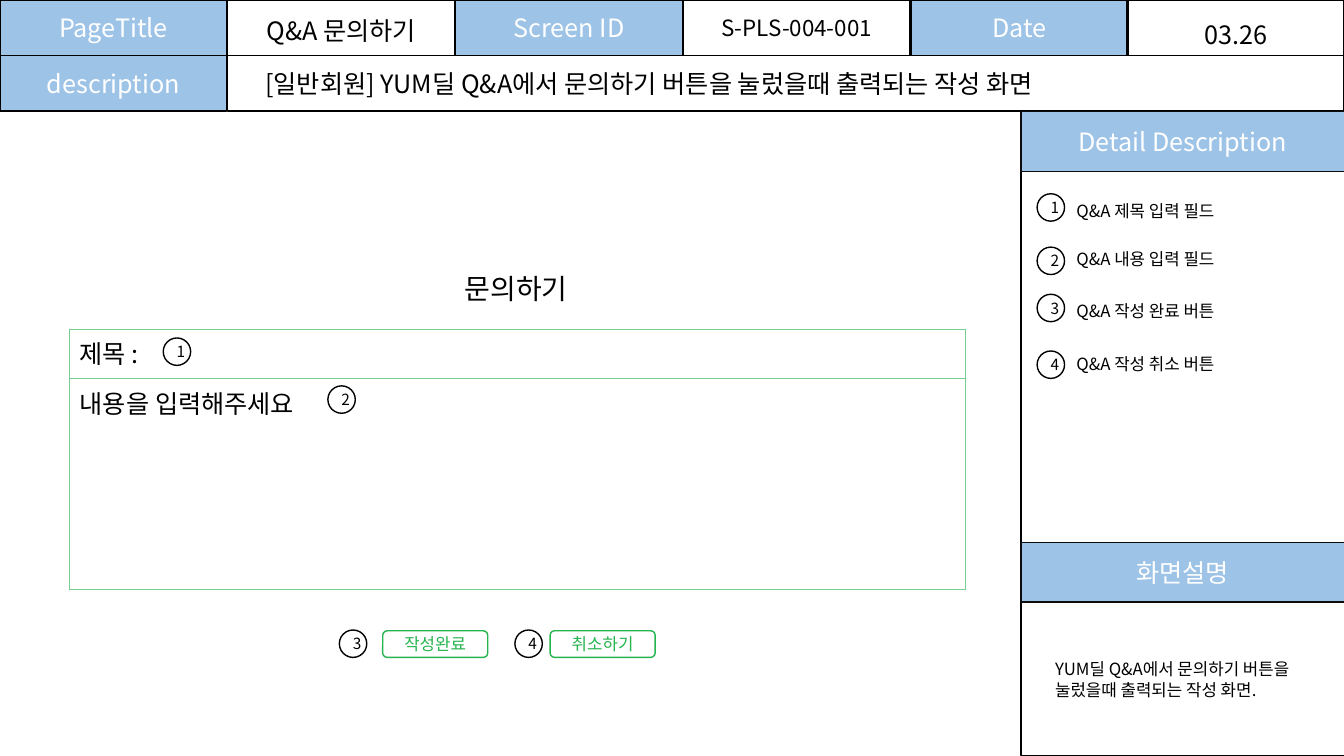
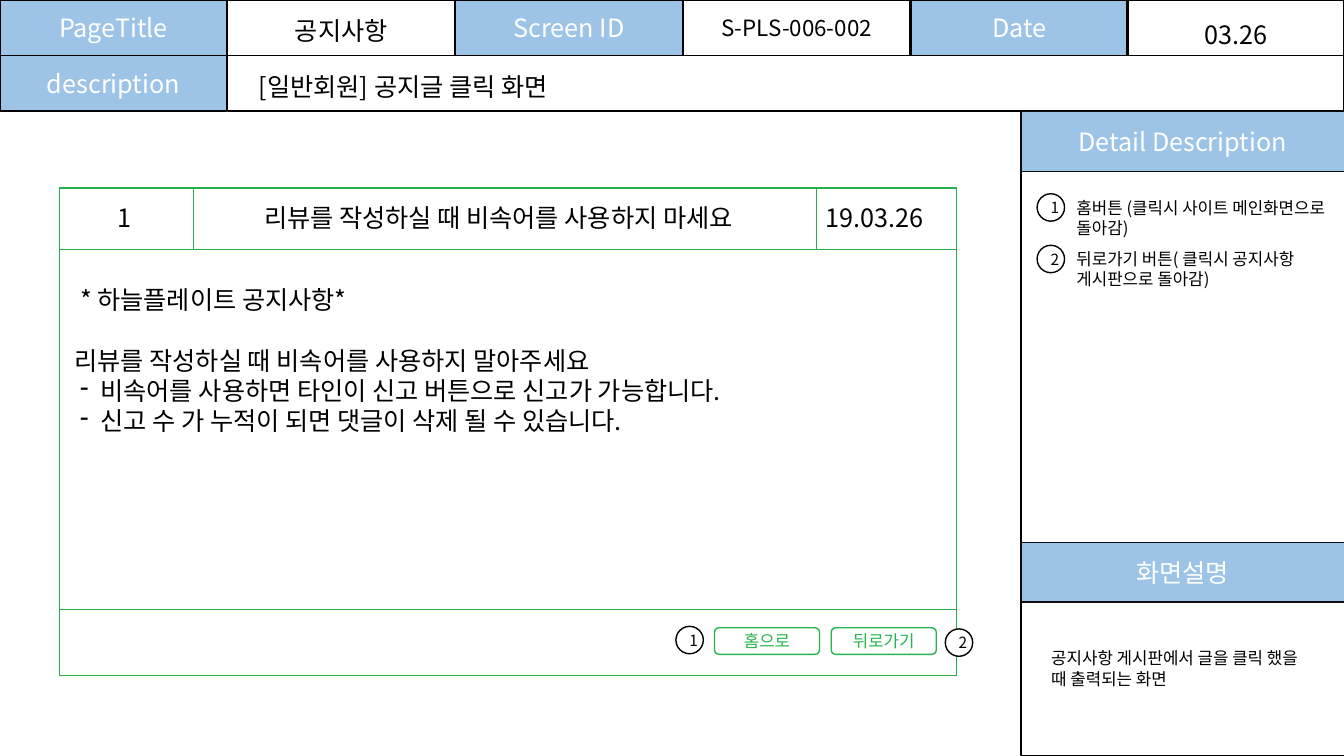
import pptx
import pptx.util
import pptx.dml.color
import pptx.enum.shapes
import pptx.enum.text
import pptx.oxml.ns
from lxml import etree

Pt = pptx.util.Pt
SHAPES = pptx.enum.shapes.MSO_SHAPE
ALIGN = pptx.enum.text.PP_ALIGN
ANCHOR = pptx.enum.text.MSO_ANCHOR
qn = pptx.oxml.ns.qn


def rgb(hex_string):
    return pptx.dml.color.RGBColor.from_string(hex_string)


def set_values(target, values):
    for name, value in values.items():
        setattr(target, name, value)


class Storyboard:
    FONT = "Noto Sans CJK KR"
    BLACK, WHITE, BLUE = "000000", "FFFFFF", "9DC3E6"
    HEADING_LINE = "0D0D0D"
    BUTTON_GREEN, FRAME_GREEN, TABLE_GREEN = "26B44E", "25B04C", "77CE8F"
    BAND = 39.7
    PANEL_LEFT, PANEL_TOP, PANEL_WIDTH = 729.2, 79.8, 231
    HEADING_HEIGHT = 42.6
    MARKER = 19.6

    def __init__(self):
        self.presentation = pptx.Presentation()
        set_values(self.presentation, {"slide_width": Pt(960), "slide_height": Pt(540)})
        self.slide = None

    # Text
    def add_words(self, paragraph, text, size, color, align=ALIGN.LEFT):
        paragraph.alignment = align
        run = paragraph.add_run()
        run.text = text
        set_values(run.font, {"size": Pt(size), "name": self.FONT})
        run.font.color.rgb = rgb(color)
        properties = run._r.get_or_add_rPr()
        etree.SubElement(properties, qn("a:ea"), typeface=self.FONT)

    def text(self, left, top, width, text, size=18, align=ALIGN.LEFT, wrap=True, height=30):
        shape = self.slide.shapes.add_textbox(Pt(left), Pt(top), Pt(width), Pt(height))
        shape.text_frame.word_wrap = wrap
        self.add_words(shape.text_frame.paragraphs[0], text, size, self.BLACK, align)

    def indented(self, paragraph, text, left, bullet=None, hanging=0, before=0):
        properties = paragraph._p.get_or_add_pPr()
        properties.set("marL", str(Pt(left)))
        properties.set("indent", str(-Pt(hanging)))
        if bullet:
            etree.SubElement(properties, qn("a:buChar"), char=bullet)
        if before:
            paragraph.space_before = Pt(before)
        self.add_words(paragraph, text, 18, self.BLACK)

    # Shapes
    def box(self, left, top, width, height, fill=WHITE, line=BLACK, text="",
            size=18, color=WHITE, kind=SHAPES.RECTANGLE):
        shape = self.slide.shapes.add_shape(kind, Pt(left), Pt(top), Pt(width), Pt(height))
        shape.shadow.inherit = False
        shape.fill.solid()
        shape.fill.fore_color.rgb = rgb(fill)
        shape.line.color.rgb = rgb(line)
        shape.line.width = Pt(1)
        if text:
            set_values(shape.text_frame, {"word_wrap": True, "vertical_anchor": ANCHOR.MIDDLE})
            self.add_words(shape.text_frame.paragraphs[0], text, size, color, ALIGN.CENTER)
        return shape

    def button(self, left, top, text):
        shape = self.box(left, top, 75, 19, line=self.BUTTON_GREEN, text=text, size=12,
                         color=self.BUTTON_GREEN, kind=SHAPES.ROUNDED_RECTANGLE)
        color = shape._element.spPr.find(qn("a:solidFill"))[0]
        etree.SubElement(color, qn("a:alpha"), val="66000")

    def marker(self, left, top, number):
        self.box(left, top, self.MARKER, self.MARKER, text=str(number), size=11,
                 color=self.BLACK, kind=SHAPES.OVAL)

    def line(self, left, top, right, bottom):
        connector = self.slide.shapes.add_connector(
            pptx.enum.shapes.MSO_CONNECTOR.STRAIGHT, Pt(left), Pt(top), Pt(right), Pt(bottom))
        connector.line.color.rgb = rgb(self.FRAME_GREEN)
        connector.line.width = Pt(0.5)
        etree.SubElement(connector._element.spPr, qn("a:effectLst"))

    # Table with one column
    def form(self, left, top, width, rows):
        total = sum(height for _, height in rows)
        frame = self.slide.shapes.add_table(len(rows), 1, Pt(left), Pt(top), Pt(width), Pt(total))
        table = frame.table
        set_values(table, {"first_row": False, "horz_banding": False})
        for index, (text, height) in enumerate(rows):
            table.rows[index].height = Pt(height)
            cell = table.cell(index, 0)
            self.add_words(cell.text_frame.paragraphs[0], text, 18, self.BLACK)
            properties = cell._tc.get_or_add_tcPr()
            for side in ("lnL", "lnR", "lnT", "lnB"):
                border = etree.SubElement(properties, qn("a:" + side), w=str(Pt(1)))
                fill = etree.SubElement(border, qn("a:solidFill"))
                etree.SubElement(fill, qn("a:srgbClr"), val=self.TABLE_GREEN)
            cell.fill.background()

    # Frame shared by every screen
    def screen(self, title, screen_id, date, description, details, summary):
        self.slide = self.presentation.slides.add_slide(self.presentation.slide_layouts[6])
        header = [("PageTitle", title, 0, 162, 7.5, 18),
                  ("Screen ID", screen_id, 325.4, 162, 6.8, 16),
                  ("Date", date, 650.9, 154.2, 10.1, 18)]
        for label, value, left, width, top, size in header:
            value_left = left + width + 0.7
            self.box(left, 0, width, self.BAND, self.BLUE, text=label)
            self.box(value_left, 0, width, self.BAND)
            self.text(value_left, top, width, value, size, ALIGN.CENTER, wrap=False)
        self.box(0, self.BAND, 162, self.BAND, self.BLUE, text="description")
        self.box(162.4, self.BAND, 797.2, self.BAND)
        left, top, width, text = description
        self.text(left, top, width, text, align=ALIGN.CENTER, wrap=False)

        # Side panel
        self.box(self.PANEL_LEFT, self.PANEL_TOP, self.PANEL_WIDTH, 460)
        for top, label in ((self.PANEL_TOP, "Detail Description"), (387.4, "화면설명")):
            self.box(self.PANEL_LEFT, top, self.PANEL_WIDTH, self.HEADING_HEIGHT,
                     self.BLUE, self.HEADING_LINE, label)
        for number, (marker_top, text_top, text) in enumerate(details, 1):
            self.marker(740.8, marker_top, number)
            self.text(761.8, text_top, 195, text, 12)
        left, top, width, text = summary
        self.text(left, top, width, text, 12, height=36)


def question_screen(board):
    board.screen(
        "Q&A 문의하기", "S-PLS-004-001", "03.26",
        (162, 45.4, 603.4, "[일반회원] YUM딜 Q&A에서 문의하기 버튼을 눌렀을때 출력되는 작성 화면"),
        [(138.4, 139.7, "Q&A 제목 입력 필드"),
         (176.5, 174.2, "Q&A 내용 입력 필드"),
         (210.2, 211, "Q&A 작성 완료 버튼"),
         (250.7, 249.1, "Q&A 작성 취소 버튼")],
        (746.6, 467.3, 196, "YUM딜 Q&A에서 문의하기 버튼을 눌렀을때 출력되는 작성 화면."))
    board.text(324.7, 190.1, 96.5, "문의하기", 20)
    board.form(49.8, 235.4, 640, [("제목 :", 35.2), ("내용을 입력해주세요", 150.5)])
    board.button(273.4, 450.6, "작성완료")
    board.button(393, 450.6, "취소하기")
    for number, (left, top) in enumerate(
            [(116.6, 241.4), (234.2, 275.6), (242.4, 450), (367.8, 450)], 1):
        board.marker(left, top, number)


def notice_screen(board):
    board.screen(
        "공지사항", "S-PLS-006-002", "03.26",
        (169.2, 47.5, 237.6, "[일반회원] 공지글 클릭 화면"),
        [(138.4, 137.5, "홈버튼 (클릭시 사이트 메인화면으로 돌아감)"),
         (175.2, 174.2, "뒤로가기 버튼( 클릭시 공지사항 게시판으로 돌아감)")],
        (743.8, 459.4, 201, "공지사항 게시판에서 글을 클릭 했을 때 출력되는 화면"))

    # Notice frame
    left, top, right, bottom = 42.4, 134.2, 683.2, 482.6
    head_bottom = 178.2
    board.box(left, top, right - left, bottom - top, line=board.FRAME_GREEN)
    for y in (head_bottom, 435.4):
        board.line(left, y, right, y)
    for x in (138.2, 583.2):
        board.line(x, top, x, head_bottom)

    # Notice text
    head_text = 141.1
    board.text(77, head_text, 27, "1")
    board.text(144, head_text, 424, "리뷰를 작성하실 때 비속어를 사용하지 마세요", align=ALIGN.CENTER)
    board.text(582.5, head_text, 86, "19.03.26")
    body = board.slide.shapes.add_textbox(Pt(46.1), Pt(199.4), Pt(628), Pt(160)).text_frame
    body.word_wrap = True
    board.indented(body.paragraphs[0], "* 하늘플레이트 공지사항*", 4)
    board.indented(body.add_paragraph(), "리뷰를 작성하실 때 비속어를 사용하지 말아주세요", 0, before=21.8)
    for text in ("비속어를 사용하면 타인이 신고 버튼으로 신고가 가능합니다.",
                 "신고 수 가 누적이 되면 댓글이 삭제 될 수 있습니다."):
        board.indented(body.add_paragraph(), text, 18.6, "-", 14.6)

    # Navigation
    board.button(510.4, 448.4, "홈으로")
    board.button(593.8, 448.4, "뒤로가기")
    board.marker(482.8, 447.4, 1)
    board.marker(675.2, 449.2, 2)


def main():
    board = Storyboard()
    question_screen(board)
    notice_screen(board)
    board.presentation.save("out.pptx")


if __name__ == "__main__":
    main()
